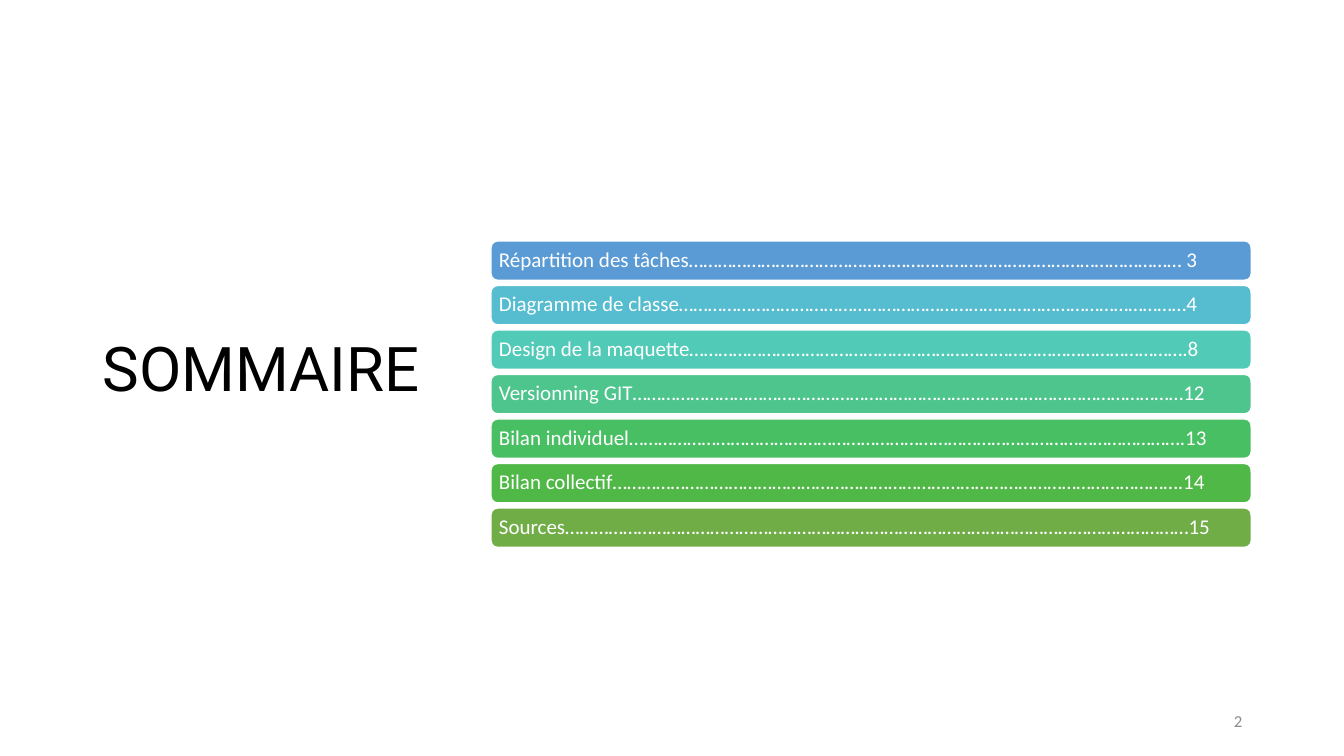
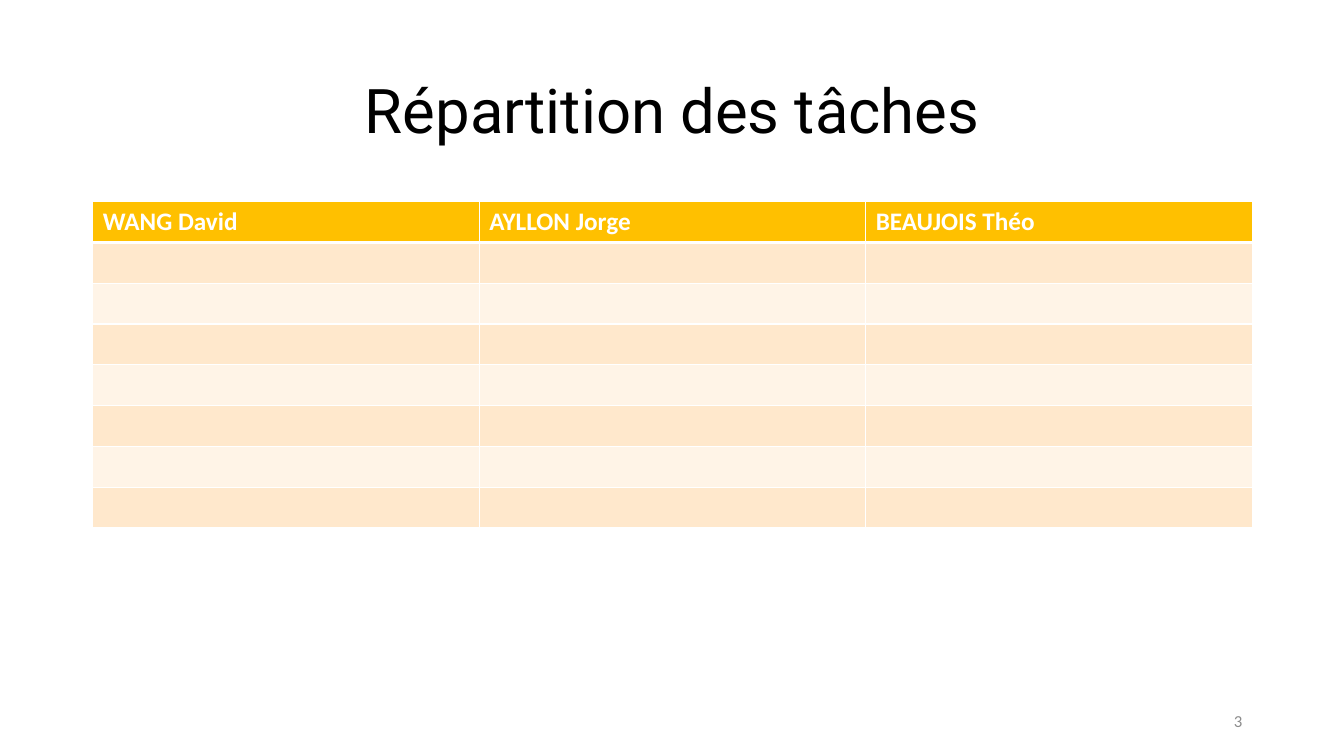
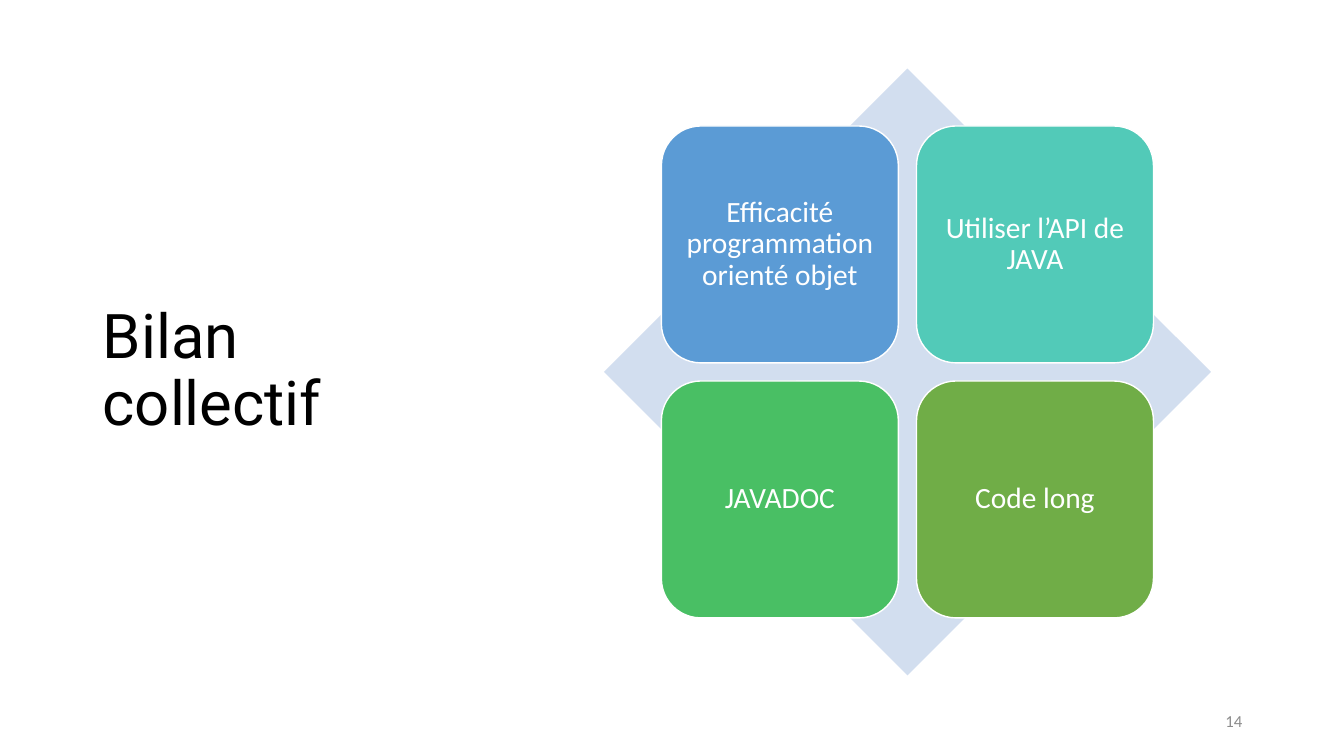
import pptx
import pptx.dml.color
import pptx.enum.shapes
import pptx.enum.text
import pptx.oxml.ns
import pptx.util
from lxml import etree

Inches = pptx.util.Inches
Pt = pptx.util.Pt
RGBColor = pptx.dml.color.RGBColor
MSO_SHAPE = pptx.enum.shapes.MSO_SHAPE
PP_ALIGN = pptx.enum.text.PP_ALIGN
MSO_ANCHOR = pptx.enum.text.MSO_ANCHOR
qn = pptx.oxml.ns.qn

WHITE = RGBColor(0xFF, 0xFF, 0xFF)
BLACK = RGBColor(0x00, 0x00, 0x00)
GRAY = RGBColor(0x8C, 0x8C, 0x8C)
BLUE = RGBColor(0x5B, 0x9B, 0xD5)
CYAN = RGBColor(0x56, 0xBC, 0xD0)
TURQUOISE = RGBColor(0x52, 0xCA, 0xB8)
MINT = RGBColor(0x4D, 0xC5, 0x8D)
GREEN = RGBColor(0x49, 0xBF, 0x64)
GRASS = RGBColor(0x50, 0xB8, 0x46)
OLIVE = RGBColor(0x70, 0xAD, 0x47)
PALE_BLUE = RGBColor(0xD2, 0xDE, 0xEF)
GOLD = RGBColor(0xFF, 0xC0, 0x00)
BAND_DARK = RGBColor(0xFF, 0xE8, 0xCC)
BAND_LIGHT = RGBColor(0xFF, 0xF4, 0xE7)

BODY_FONT = "Calibri"
TITLE_FONT = "Roboto"
SIDE_TITLE = (0.92, 0.68, 3.69, 6.02)
TOP_TITLE = (0.92, 0.4, 11.5, 1.45)

CONTENTS = [
    ("Répartition des tâches…………………………………………………………………………………………\u00a03", BLUE),
    ("Diagramme de classe……………………………………………………………………………………………4", CYAN),
    ("Design de la maquette………………………………………………………………………………………….8", TURQUOISE),
    ("Versionning GIT……………………………………………………………………………………………………12", MINT),
    ("Bilan individuel…………………………………………………………………………………………………….13", GREEN),
    ("Bilan collectif……………………………………………………………………………………………………….14", GRASS),
    ("Sources…………………………………………………………………………………………………………………15", OLIVE),
]
MEMBERS = ["WANG David", "AYLLON Jorge", "BEAUJOIS Théo"]
REVIEW = [
    ("Efficacité programmation orienté objet", BLUE),
    ("Utiliser l’API de JAVA", TURQUOISE),
    ("JAVADOC", GREEN),
    ("Code long", OLIVE),
]


def box(left, top, width, height):
    return Inches(left), Inches(top), Inches(width), Inches(height)


def write(frame, text, size, color=WHITE, font=BODY_FONT, bold=False,
          align=PP_ALIGN.LEFT, line_spacing=None, inset=None):
    frame.word_wrap = True
    if inset is not None:
        frame.margin_left = frame.margin_right = Inches(inset)
        frame.margin_top = frame.margin_bottom = Inches(inset)
    paragraph = frame.paragraphs[0]
    paragraph.alignment = align
    if line_spacing:
        paragraph.line_spacing = line_spacing
    run = paragraph.add_run()
    run.text = text
    run.font.size = Pt(size)
    run.font.name = font
    run.font.bold = bold
    run.font.color.rgb = color


def add_text(slide, bounds, text, **style):
    frame = slide.shapes.add_textbox(*box(*bounds)).text_frame
    frame.vertical_anchor = MSO_ANCHOR.MIDDLE
    write(frame, text, **style)


def add_filled_shape(slide, kind, bounds, fill, outlined=True):
    shape = slide.shapes.add_shape(kind, *box(*bounds))
    shape.shadow.inherit = False
    shape.fill.solid()
    shape.fill.fore_color.rgb = fill
    if outlined:
        shape.line.color.rgb = WHITE
        shape.line.width = Pt(1)
    else:
        shape.line.fill.background()
    return shape


def add_card(slide, bounds, fill, text, **style):
    card = add_filled_shape(slide, MSO_SHAPE.ROUNDED_RECTANGLE, bounds, fill)
    card.text_frame.vertical_anchor = MSO_ANCHOR.MIDDLE
    write(card.text_frame, text, line_spacing=0.9, **style)


def add_titled_slide(presentation, title, number, bounds=SIDE_TITLE,
                     align=PP_ALIGN.LEFT):
    slide = presentation.slides.add_slide(presentation.slide_layouts[6])
    add_text(slide, bounds, title, size=44, color=BLACK, font=TITLE_FONT,
             align=align, line_spacing=0.9)
    add_text(slide, (9.42, 6.95, 3, 0.4), str(number), size=12, color=GRAY,
             align=PP_ALIGN.RIGHT)
    return slide


def set_borders(cell, bottom_width):
    properties = cell._tc.get_or_add_tcPr()
    for side, width in (("L", 1), ("R", 1), ("T", 1), ("B", bottom_width)):
        line = etree.SubElement(properties, qn(f"a:ln{side}"), w=str(Pt(width)))
        fill = etree.SubElement(line, qn("a:solidFill"))
        etree.SubElement(fill, qn("a:srgbClr"), val=str(WHITE))


def add_task_table(slide, headers, row_count):
    table = slide.shapes.add_table(row_count, len(headers),
                                   *box(0.92, 2, 11.5, 3.24)).table
    table.horz_banding = False
    for row in range(row_count):
        for column, header in enumerate(headers):
            cell = table.cell(row, column)
            # Borders must precede the fill in the cell properties.
            set_borders(cell, 1 if row else 3)
            cell.fill.solid()
            if row == 0:
                cell.fill.fore_color.rgb = GOLD
                write(cell.text_frame, header, size=18, bold=True)
            else:
                cell.fill.fore_color.rgb = BAND_DARK if row % 2 else BAND_LIGHT


def build_contents(presentation):
    slide = add_titled_slide(presentation, "SOMMAIRE", 2)
    pitch = 0.4417
    for index, (entry, color) in enumerate(CONTENTS):
        add_card(slide, (4.87, 2.39 + index * pitch, 7.54, 0.39), color, entry,
                 size=15, inset=0.06)


def build_tasks(presentation):
    slide = add_titled_slide(presentation, "Répartition des tâches", 3,
                             bounds=TOP_TITLE, align=PP_ALIGN.CENTER)
    add_task_table(slide, MEMBERS, row_count=8)


def build_review(presentation):
    slide = add_titled_slide(presentation, "Bilan collectif", 14)
    add_filled_shape(slide, MSO_SHAPE.DIAMOND, (5.99, 0.68, 6.02, 6.02),
                     PALE_BLUE, outlined=False)
    side, pitch = 2.35, 2.53
    for index, (text, color) in enumerate(REVIEW):
        row, column = divmod(index, 2)
        add_card(slide, (6.56 + column * pitch, 1.25 + row * pitch, side, side),
                 color, text, size=21, align=PP_ALIGN.CENTER, inset=0.09)


def main():
    presentation = pptx.Presentation()
    presentation.slide_width = Inches(13.33)
    presentation.slide_height = Inches(7.5)
    build_contents(presentation)
    build_tasks(presentation)
    build_review(presentation)
    presentation.save("out.pptx")


if __name__ == "__main__":
    main()
